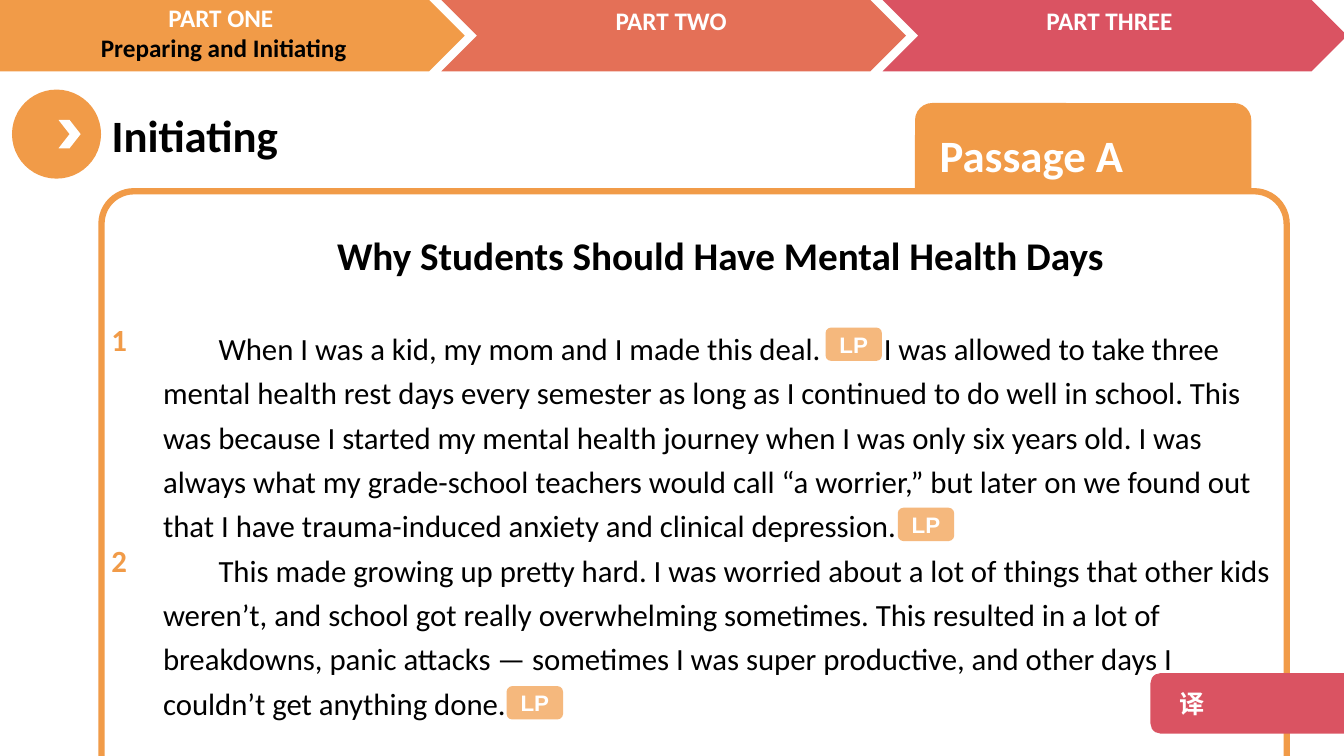
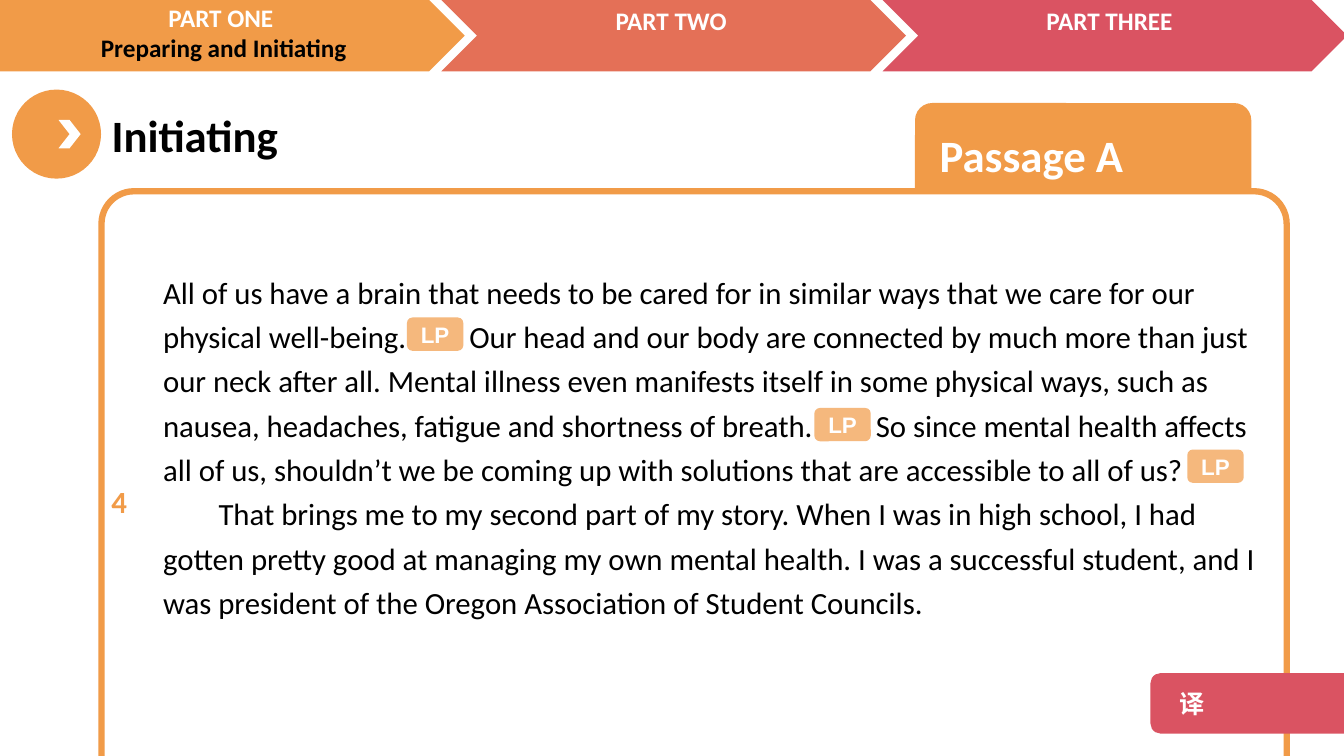
from collections import namedtuple

from lxml import etree
from pptx import Presentation
from pptx.dml.color import RGBColor
from pptx.enum.shapes import MSO_SHAPE
from pptx.enum.text import MSO_ANCHOR, MSO_AUTO_SIZE, PP_ALIGN
from pptx.oxml.ns import qn
from pptx.util import Pt

ORANGE = RGBColor(0xF1, 0x9B, 0x48)
CORAL = RGBColor(0xE4, 0x70, 0x57)
ROSE = RGBColor(0xDA, 0x53, 0x62)
WHITE = RGBColor(0xFF, 0xFF, 0xFF)
BLACK = RGBColor(0x00, 0x00, 0x00)

ROUNDED = MSO_SHAPE.ROUNDED_RECTANGLE
CHEVRON = MSO_SHAPE.CHEVRON
PENTAGON = MSO_SHAPE.PENTAGON
OVAL = MSO_SHAPE.OVAL
TOP, MIDDLE = MSO_ANCHOR.TOP, MSO_ANCHOR.MIDDLE
LEFT, CENTER = PP_ALIGN.LEFT, PP_ALIGN.CENTER
NO_AUTOSIZE = MSO_AUTO_SIZE.NONE

BODY_FONT = "Calibri"
MARKER_FONT = "Arial"
CJK_FONT = "Noto Sans CJK SC"
BODY_SIZE = 22
LINE_SPACING = 1.2
LINE_PITCH = 31.65
FIRST_INDENT = 39.6
MARKER_GAP = 40

Box = namedtuple("Box", "left top width height")
Passage = namedtuple("Passage", "top heading paragraphs numbers markers")
Paragraph = namedtuple("Paragraph", "indent segments")

SLIDE = Box(0, 0, 960, 540)
BAND = Box(0, 0, 963, 51)
HEADER = Box(8.6, 64, 420, 63.6)
TAB = Box(653.6, 73.6, 240.2, 73.4)
PANEL = Box(72.5, 136.6, 846.6, 464.4)
BUTTON = Box(821.8, 480.8, 153.4, 43.2)

PARTS = [
    (ORANGE, PENTAGON, -4.3, -2.2, [("PART ONE ", WHITE), ("Preparing and Initiating", BLACK)]),
    (CORAL, CHEVRON, 315.2, 0, [("PART TWO", WHITE)]),
    (ROSE, CHEVRON, 628.4, 0, [("PART THREE", WHITE)]),
]

PASSAGES = [
    Passage(
        18,
        "Why Students Should Have Mental Health Days",
        [
            Paragraph(FIRST_INDENT, [
                "When I was a kid, my mom and I made this deal.",
                "I was allowed to take three mental health rest days every semester as long "
                "as I continued to do well in school. This was because I started my mental "
                "health journey when I was only six years old. I was always what my "
                "grade-school teachers would call “a worrier,” but later on we found out "
                "that I have trauma-induced anxiety and clinical depression.",
            ]),
            Paragraph(FIRST_INDENT, [
                "This made growing up pretty hard. I was worried about a lot of things that "
                "other kids weren’t, and school got really overwhelming sometimes. This "
                "resulted in a lot of breakdowns, panic attacks — sometimes I was super "
                "productive, and other days I couldn’t get anything done.",
            ]),
        ],
        [("1", 83.6), ("2", 241.6)],
        [(517.2, 97.4), (568.8, 226.1), (289.4, 353.5)],
    ),
    Passage(
        18 + LINE_PITCH,
        None,
        [
            Paragraph(0, [
                "All of us have a brain that needs to be cared for in similar ways that we "
                "care for our physical well-being.",
                "Our head and our body are connected by much more than just our neck after "
                "all. Mental illness even manifests itself in some physical ways, such as "
                "nausea, headaches, fatigue and shortness of breath.",
                "So since mental health affects all of us, shouldn’t we be coming up with "
                "solutions that are accessible to all of us?",
            ]),
            Paragraph(FIRST_INDENT, [
                "That brings me to my second part of my story. When I was in high school, I "
                "had gotten pretty good at managing my own mental health. I was a successful "
                "student, and I was president of the Oregon Association of Student Councils.",
            ]),
        ],
        [("4", 199.4)],
        [(218.2, 90.2), (509.2, 154.8), (775.6, 184.5)],
    ),
]


def place(parent, left, top, width, height):
    return Box(parent.left + left, parent.top + top, width, height)


def in_points(box):
    return [Pt(length) for length in box]


def add_block(page, kind, box, fill, outline=None):
    block = page.shapes.add_shape(kind, *in_points(box))
    block.shadow.inherit = False
    block.fill.solid()
    block.fill.fore_color.rgb = fill
    if outline:
        block.line.color.rgb = outline
        block.line.width = Pt(4.5)
    else:
        block.line.fill.background()
    return block


def add_textbox(page, box):
    frame = page.shapes.add_textbox(*in_points(box)).text_frame
    frame.word_wrap = True
    return frame


def style(para, size, color, bold=True, align=LEFT, font=BODY_FONT):
    para.alignment = align
    para.font.size = Pt(size)
    para.font.bold = bold
    para.font.name = font
    para.font.color.rgb = color


def write_label(block, text, size, inset=0, align=LEFT, font=BODY_FONT):
    frame = block.text_frame
    frame.vertical_anchor = MIDDLE
    frame.margin_left = Pt(inset)
    frame.margin_right = 0
    para = frame.paragraphs[0]
    para.text = text
    style(para, size, WHITE, align=align, font=font)
    return para


def next_paragraph(frame):
    first = frame.paragraphs[0]
    return frame.add_paragraph() if first.runs else first


def add_span(para, text):
    span = para.add_run()
    span.text = text
    return span


def write_segments(para, segments):
    for index, segment in enumerate(segments):
        if index:
            gap = add_span(para, " ")
            gap.font._element.set("spc", str(MARKER_GAP * 100))
        add_span(para, segment)


def set_first_indent(para, indent):
    properties = para._p.get_or_add_pPr()
    properties.set("marL", "0")
    properties.set("indent", str(int(Pt(indent))))


def draw_part_band(page, box):
    step = 315.2
    for index, (color, kind, label_left, label_top, lines) in enumerate(PARTS):
        add_block(page, kind, place(box, index * step, 0, 332, box.height), color)
        frame = add_textbox(page, place(box, label_left, label_top, 328.3, box.height))
        for text, text_color in lines:
            para = next_paragraph(frame)
            para.text = text
            style(para, 18, text_color, align=CENTER)


def draw_header(page, box):
    add_block(page, OVAL, place(box, 0, 0, box.height, box.height), ORANGE)
    add_block(page, CHEVRON, place(box, 33.2, 21.7, 15.8, 20.2), WHITE)
    title = page.shapes.title
    title.left, title.top, title.width, title.height = in_points(
        place(box, 63.9, 9.4, 349.2, 46.1))
    frame = title.text_frame
    frame.auto_size = NO_AUTOSIZE
    frame.vertical_anchor = TOP
    para = frame.paragraphs[0]
    para.text = "Initiating"
    style(para, 32, BLACK)


def draw_panel(page, box):
    tab = add_block(page, ROUNDED, TAB, ORANGE)
    write_label(tab, "Passage A", 32, inset=14)
    panel = add_block(page, ROUNDED, box, WHITE, outline=ORANGE)
    panel.adjustments[0] = 0.05


def draw_passage(page, box, passage):
    frame = add_textbox(page, place(box, 36.9, passage.top + 0.2, 810, 300))
    if passage.heading:
        heading = next_paragraph(frame)
        heading.text = passage.heading
        heading.line_spacing = LINE_SPACING
        style(heading, 28, BLACK, align=CENTER)
    for index, (indent, segments) in enumerate(passage.paragraphs):
        para = next_paragraph(frame)
        write_segments(para, segments)
        para.line_spacing = LINE_SPACING
        if passage.heading and index == 0:
            para.space_before = Pt(LINE_PITCH)
        set_first_indent(para, indent)
        style(para, BODY_SIZE, BLACK, bold=False)
    for number, top in passage.numbers:
        para = add_textbox(page, place(box, 0, top, 36.7, 36)).paragraphs[0]
        para.text = number
        para.line_spacing = LINE_SPACING
        style(para, BODY_SIZE, ORANGE)
    for left, top in passage.markers:
        draw_marker(page, place(box, left, top, 40.3, 23.8))


def draw_marker(page, box):
    marker = add_block(page, ROUNDED, box, ORANGE)
    color = marker.fill._xPr.find(qn("a:solidFill"))[0]
    etree.SubElement(color, qn("a:alpha"), val="71000")
    write_label(marker, "LP", 16, align=CENTER, font=MARKER_FONT)


def draw_translate_button(page, box):
    button = add_block(page, ROUNDED, box, ROSE)
    para = write_label(button, "译", 18, inset=19, font=CJK_FONT)
    latin = para.font._element.find(qn("a:latin"))
    latin.addnext(etree.Element(qn("a:ea"), typeface=CJK_FONT))


def build_passage_slide(deck, passage):
    page = deck.slides.add_slide(deck.slide_layouts[5])
    draw_part_band(page, BAND)
    draw_header(page, HEADER)
    draw_panel(page, PANEL)
    draw_passage(page, PANEL, passage)
    draw_translate_button(page, BUTTON)


def main():
    deck = Presentation()
    deck.slide_width, deck.slide_height = Pt(SLIDE.width), Pt(SLIDE.height)
    for passage in PASSAGES:
        build_passage_slide(deck, passage)
    deck.save("out.pptx")


if __name__ == "__main__":
    main()
